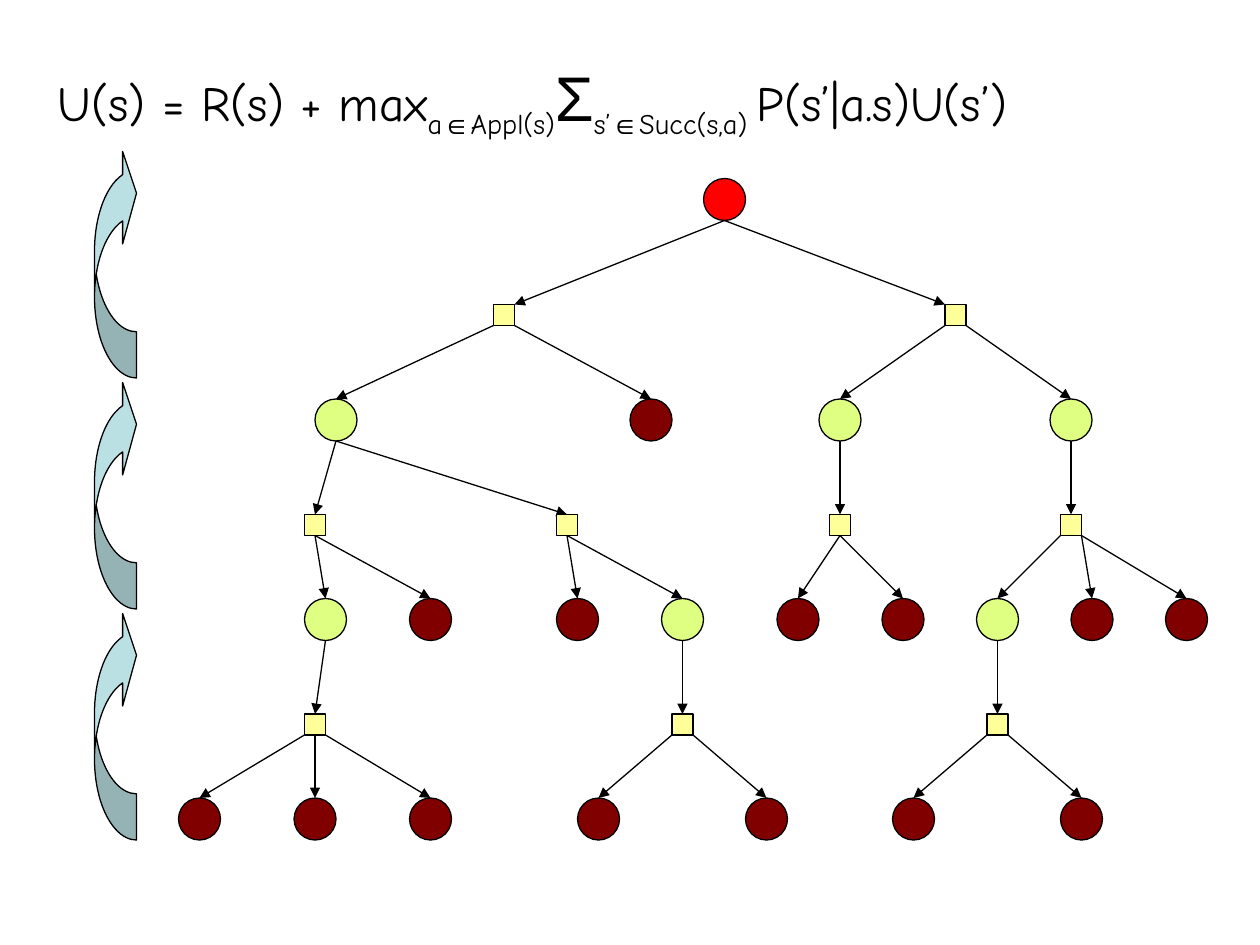
from dataclasses import dataclass
from enum import Enum

import lxml.etree
import pptx
import pptx.dml.color
import pptx.enum.shapes
import pptx.enum.text
import pptx.oxml.ns
import pptx.util

Pt = pptx.util.Pt
RGB = pptx.dml.color.RGBColor
Preset = pptx.enum.shapes.MSO_SHAPE


@dataclass(frozen=True)
class Theme:
    ink: RGB = RGB(0, 0, 0)
    root: RGB = RGB(0xFF, 0, 0)
    state: RGB = RGB(0xDF, 0xFF, 0x83)
    terminal: RGB = RGB(0x80, 0, 0)
    action: RGB = RGB(0xFF, 0xFF, 0x99)
    backup: RGB = RGB(0xBB, 0xE0, 0xE3)
    text_font: str = "Comic Neue"
    symbol_font: str = "Arial"
    formula_size: float = 28
    sum_size: float = 36
    line_width: float = 0.75


THEME = Theme()


@dataclass(frozen=True)
class Look:
    preset: Preset
    size: float
    fill: RGB


class Kind(Enum):
    ROOT = Look(Preset.OVAL, 24, THEME.root)
    STATE = Look(Preset.OVAL, 24, THEME.state)
    TERMINAL = Look(Preset.OVAL, 24, THEME.terminal)
    ACTION = Look(Preset.RECTANGLE, 12, THEME.action)


@dataclass(frozen=True)
class Node:
    """A tree node centred on x; corners=True lets its arrows leave from its corners."""
    kind: Kind
    x: float
    children: tuple["Node", ...] = ()
    corners: bool = False


@dataclass(frozen=True)
class Part:
    text: str
    font: str = THEME.text_font
    size: float = THEME.formula_size
    subscript: bool = False


LEVEL_TOPS = (102, 174, 228, 294, 342, 408, 456)
BACKUP_TOPS = (84, 216, 348)

FORMULA = (
    Part("U(s) = R(s) + max"),
    Part("a", subscript=True),
    Part("∈", THEME.symbol_font, subscript=True),
    Part("Appl(s)", subscript=True),
    Part("Σ", THEME.symbol_font, THEME.sum_size),
    Part("s’", subscript=True),
    Part("∈", THEME.symbol_font, subscript=True),
    Part("Succ(s,a) ", subscript=True),
    Part("P(s’|a.s)U(s’)"),
)


def state(x: float, *actions: Node) -> Node:
    return Node(Kind.STATE, x, actions)


def action(x: float, *outcomes: Node, corners: bool = True) -> Node:
    return Node(Kind.ACTION, x, outcomes, corners)


def terminals(*xs: float) -> tuple[Node, ...]:
    return tuple(Node(Kind.TERMINAL, x) for x in xs)


TREE = Node(Kind.ROOT, 414, (
    action(
        288,
        state(
            192,
            action(180, state(186, action(180, *terminals(114, 180, 246))),
                   *terminals(246), corners=False),
            action(324, *terminals(330),
                   state(390, action(390, *terminals(342, 438))), corners=False),
        ),
        *terminals(372),
    ),
    action(
        546,
        state(480, action(480, *terminals(456, 516), corners=False)),
        state(612, action(612, state(570, action(570, *terminals(522, 618))),
                          *terminals(624, 678))),
    ),
))


def toward(start: float, goal: float, step: float) -> float:
    """Move from start by step in the direction of goal."""
    return start + step * ((goal > start) - (goal < start))


def draw_shape(slide, preset: Preset, left: float, top: float,
               width: float, height: float, fill: RGB):
    shape = slide.shapes.add_shape(preset, Pt(left), Pt(top), Pt(width), Pt(height))
    shape.shadow.inherit = False
    shape.fill.solid()
    shape.fill.fore_color.rgb = fill
    shape.line.color.rgb = THEME.ink
    shape.line.width = Pt(THEME.line_width)
    return shape


def draw_arrow(slide, x1: float, y1: float, x2: float, y2: float) -> None:
    arrow = slide.shapes.add_connector(
        pptx.enum.shapes.MSO_CONNECTOR.STRAIGHT, Pt(x1), Pt(y1), Pt(x2), Pt(y2))
    arrow.line.color.rgb = THEME.ink
    arrow.line.width = Pt(THEME.line_width)
    qn = pptx.oxml.ns.qn
    lxml.etree.SubElement(arrow.line._get_or_add_ln(), qn("a:tailEnd"), type="triangle")
    lxml.etree.SubElement(arrow._element.spPr, qn("a:effectLst"))


def draw_tree(slide, node: Node, level: int = 0) -> None:
    look = node.kind.value
    top = LEVEL_TOPS[level]
    draw_shape(slide, look.preset, node.x - look.size / 2, top,
               look.size, look.size, look.fill)
    for child in node.children:
        start_x = toward(node.x, child.x, look.size / 2 if node.corners else 0)
        # Arrows from the root meet the near corner of an action.
        inset = child.kind.value.size / 2 if node.kind is Kind.ROOT else 0
        end_x = toward(child.x, node.x, inset)
        draw_arrow(slide, start_x, top + look.size, end_x, LEVEL_TOPS[level + 1])
        draw_tree(slide, child, level + 1)


def draw_backup(slide, top: float) -> None:
    """Draw one curved arrow that carries values up two levels."""
    backup = draw_shape(slide, Preset.CURVED_RIGHT_ARROW, 54, top, 24, 132, THEME.backup)
    for index, amount in enumerate((1.1, 2.2, 0.33)):
        backup.adjustments[index] = amount
    backup._element.spPr.xfrm.set("flipV", "1")


def write_formula(slide) -> None:
    title = slide.shapes.title
    title.left, title.top, title.width, title.height = Pt(18), Pt(30), Pt(660), Pt(66)
    frame = title.text_frame
    frame.word_wrap = True
    frame.auto_size = pptx.enum.text.MSO_AUTO_SIZE.NONE
    frame.vertical_anchor = pptx.enum.text.MSO_ANCHOR.TOP
    frame.margin_left = Pt(15)
    paragraph = frame.paragraphs[0]
    paragraph.alignment = pptx.enum.text.PP_ALIGN.LEFT
    paragraph.font.color.rgb = THEME.ink
    for part in FORMULA:
        run = paragraph.add_run()
        run.text = part.text
        run.font.name = part.font
        run.font.size = Pt(part.size)
        if part.subscript:
            run.font._element.set("baseline", "-25000")


def main() -> None:
    deck = pptx.Presentation()
    deck.slide_width, deck.slide_height = Pt(720), Pt(540)
    slide = deck.slides.add_slide(deck.slide_layouts.get_by_name("Title Only"))
    write_formula(slide)
    draw_tree(slide, TREE)
    for top in BACKUP_TOPS:
        draw_backup(slide, top)
    deck.save("out.pptx")


if __name__ == "__main__":
    main()
